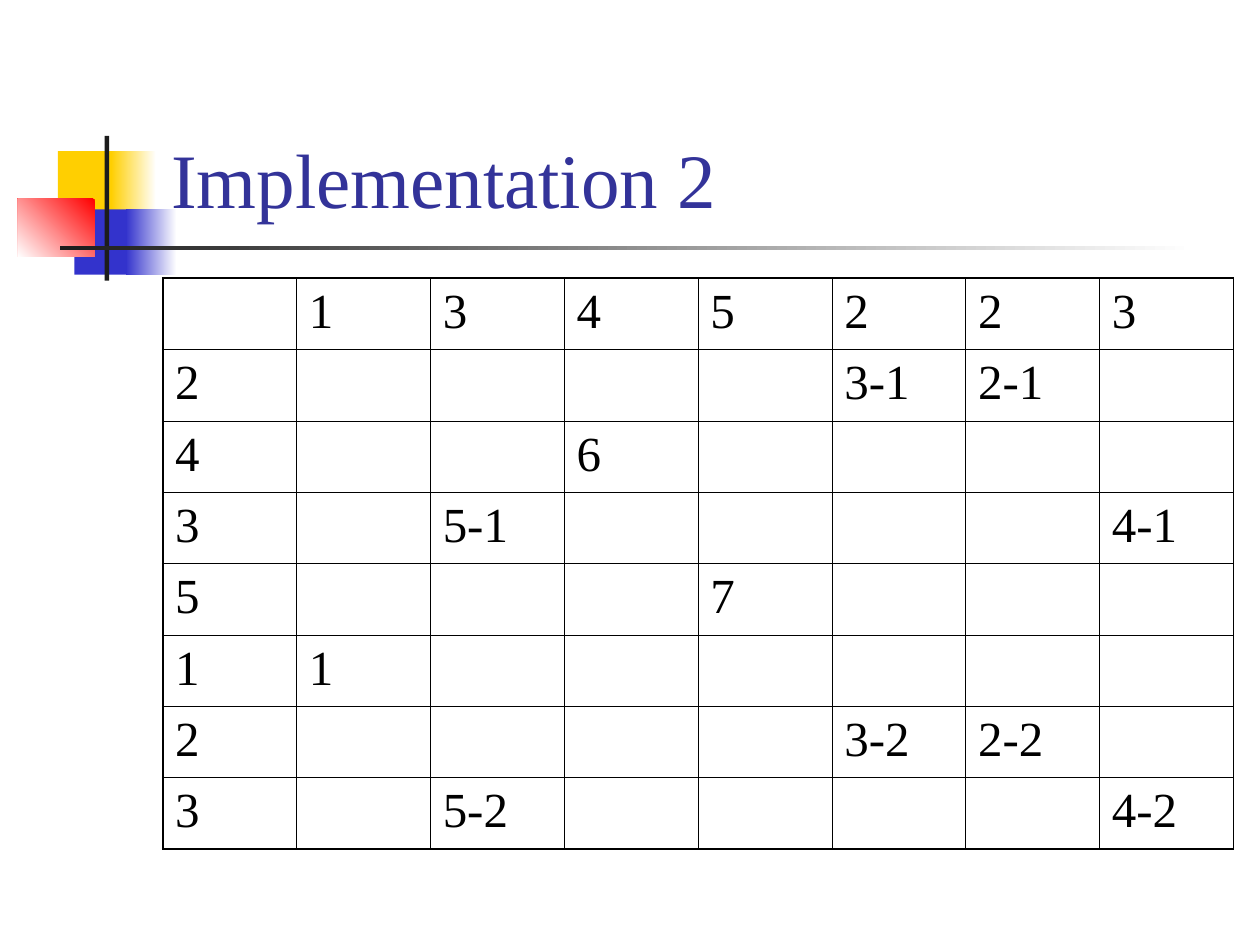
from lxml import etree
from pptx import Presentation
from pptx.dml.color import RGBColor
from pptx.enum.shapes import MSO_SHAPE
from pptx.enum.text import MSO_ANCHOR, MSO_AUTO_SIZE, PP_ALIGN
from pptx.oxml.ns import qn
from pptx.util import Cm, Pt

RECT = MSO_SHAPE.RECTANGLE
BOTTOM = MSO_ANCHOR.BOTTOM
NO_FIT = MSO_AUTO_SIZE.NONE
LEFT = PP_ALIGN.LEFT

FONT = "Times New Roman"
COLORS = {
    "white": "FFFFFF", "yellow": "FFCF01", "blue": "3333CC", "red": "FF0000",
    "dark": "1C1C1C", "title": "333399", "black": "000000",
}


def rgb(name):
    return RGBColor.from_string(COLORS[name])


def add_run(p, text, size, color):
    r = p.add_run()
    r.text = text
    r.font.name = FONT
    r.font.size = Pt(size)
    r.font.color.rgb = rgb(color)


prs = Presentation()
prs.slide_width, prs.slide_height = Cm(25.4), Cm(19.05)
s = prs.slides.add_slide(prs.slide_layouts[5])

# Corner ornament and rule: left, top, width, height, colours, gradient angle
ornament = [
    (1.17, 3.05, 1.22, 1.32, ["yellow"], None),
    (2.24, 3.05, 0.91, 1.32, ["white", "yellow"], 180),
    (1.5, 4.22, 1.17, 1.32, ["blue"], None),
    (2.54, 4.22, 1.02, 1.32, ["white", "blue"], 180),
    (0.36, 4.01, 1.55, 1.17, ["red", "white"], 225),
    (2.11, 2.74, 0.09, 2.92, ["dark"], None),
    (1.22, 4.95, 22.86, 0.09, ["white", "dark"], 180),
]
for x, y, w, h, names, angle in ornament:
    sp = s.shapes.add_shape(RECT, Cm(x), Cm(y), Cm(w), Cm(h))
    sp.shadow.inherit = False
    sp.line.fill.background()
    if angle is None:
        sp.fill.solid()
        sp.fill.fore_color.rgb = rgb(names[0])
    else:
        sp.fill.gradient()
        sp.fill.gradient_angle = angle
        for stop, name, position in zip(sp.fill.gradient_stops, names, (0, 1)):
            stop.color.rgb = rgb(name)
            stop.position = position

# Title, in front of the ornament
title = s.shapes.title
title.left, title.top = Cm(3.2), Cm(0.58)
title.width, title.height = Cm(21.64), Cm(4.06)
s.shapes._spTree.append(title._element)
tf = title.text_frame
tf.auto_size = NO_FIT
tf.word_wrap = True
tf.vertical_anchor = BOTTOM
p = tf.paragraphs[0]
p.alignment = LEFT
add_run(p, "Implementation 2", 44, "title")

# Table
rows = [
    ["", "1", "3", "4", "5", "2", "2", "3"],
    ["2", "", "", "", "", "3-1", "2-1", ""],
    ["4", "", "", "6", "", "", "", ""],
    ["3", "", "5-1", "", "", "", "", "4-1"],
    ["5", "", "", "", "7", "", "", ""],
    ["1", "1", "", "", "", "", "", ""],
    ["2", "", "", "", "", "3-2", "2-2", ""],
    ["3", "", "5-2", "", "", "", "", "4-2"],
]
last = len(rows) - 1
table = s.shapes.add_table(len(rows), len(rows[0]), Cm(3.28), Cm(5.61),
                           Cm(21.59), Cm(11.51)).table
table.first_row = False
table.horz_banding = False

for i, row in enumerate(rows):
    for j, text in enumerate(row):
        cell = table.cell(i, j)
        # Thin grid lines with a heavier outer frame
        tcPr = cell._tc.get_or_add_tcPr()
        outer = {"a:lnL": j == 0, "a:lnR": j == last,
                 "a:lnT": i == 0, "a:lnB": i == last}
        for tag, is_outer in outer.items():
            width = Pt(1.08 if is_outer else 0.45)
            ln = etree.SubElement(tcPr, qn(tag), w=str(width))
            fill = etree.SubElement(ln, qn("a:solidFill"))
            etree.SubElement(fill, qn("a:srgbClr"), val=COLORS["black"])
        cell.fill.background()
        cell.margin_left = cell.margin_right = Cm(0.25)
        cell.margin_top = cell.margin_bottom = Cm(0.13)
        if text:
            add_run(cell.text_frame.paragraphs[0], text, 28, "black")

prs.save("out.pptx")
